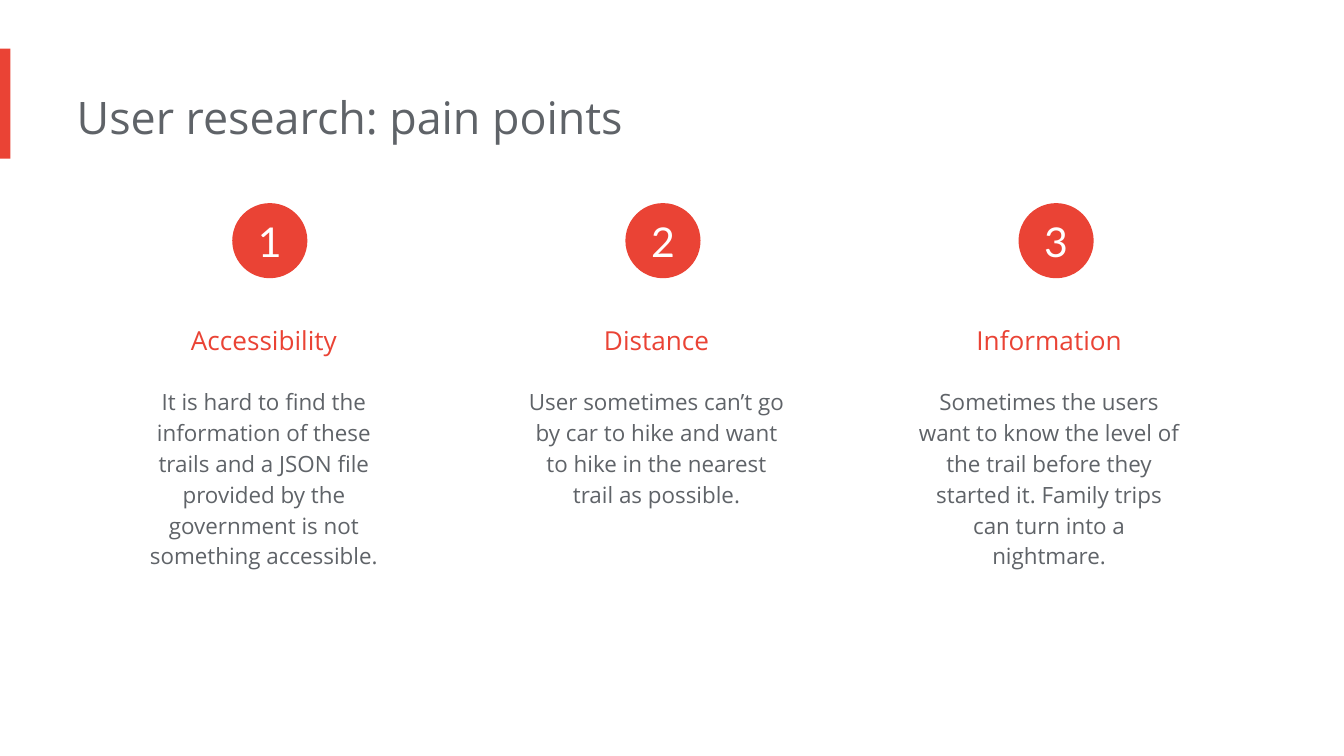
from pptx import Presentation
from pptx.dml.color import RGBColor
from pptx.enum.shapes import MSO_SHAPE as SHAPE
from pptx.enum.text import MSO_ANCHOR as ANCHOR, MSO_AUTO_SIZE as AUTO, PP_ALIGN as ALIGN
from pptx.util import Cm, Pt

RED = RGBColor(0xEA, 0x43, 0x35)
GRAY = RGBColor(0x5F, 0x63, 0x68)
WHITE = RGBColor(0xFF, 0xFF, 0xFF)

# Text formats
TITLE = dict(size=24, font="Open Sans", color=GRAY, align=ALIGN.LEFT, spacing=1.0)
HEADING = dict(size=14, font="Open Sans", color=RED, align=ALIGN.CENTER, spacing=1.5)
BODY = dict(size=12, font="Open Sans", color=GRAY, align=ALIGN.CENTER, spacing=1.15)
NUMBER = dict(size=22, font="Lato", color=WHITE, align=ALIGN.CENTER, spacing=1.0)
BOX_FRAME = dict(word_wrap=True, auto_size=AUTO.SHAPE_TO_FIT_TEXT, margin_left=0,
                 margin_right=Cm(0.25), margin_top=Cm(0.25), margin_bottom=Cm(0.25))
CIRCLE_FRAME = dict(word_wrap=True, vertical_anchor=ANCHOR.MIDDLE, margin_left=0,
                    margin_right=0, margin_top=0, margin_bottom=0)


def add_text(sp, text, fmt, frame):
    tf = sp.text_frame
    for name, value in frame.items():
        setattr(tf, name, value)
    p = tf.paragraphs[0]
    p.alignment, p.line_spacing = fmt["align"], fmt["spacing"]
    r = p.add_run()
    r.text = text
    r.font.size, r.font.name = Pt(fmt["size"]), fmt["font"]
    r.font.color.rgb = fmt["color"]


def add_red_shape(kind, x, y, w, h):
    sp = s.shapes.add_shape(kind, Cm(x), Cm(y), Cm(w), Cm(h))
    sp.shadow.inherit = False
    sp.fill.solid()
    sp.fill.fore_color.rgb = RED
    sp.line.fill.background()
    return sp


prs = Presentation()
prs.slide_width, prs.slide_height = Cm(25.4), Cm(14.29)
s = prs.slides.add_slide(prs.slide_layouts[6])

# Accent bar and title
add_red_shape(SHAPE.RECTANGLE, 0, 0.92, 0.2, 2.08)
sp = s.shapes.add_textbox(Cm(1.45), Cm(1.45), Cm(17.1), Cm(1.52))
add_text(sp, "User research: pain points", TITLE, BOX_FRAME)

# Pain point columns: heading, description and its height
points = [
    ("Accessibility", "It is hard to find the information of these trails and a JSON file "
     "provided by the government is not something accessible.", 4.01),
    ("Distance", "User sometimes can’t go by car to hike and want to hike in the nearest "
     "trail as possible.", 2.84),
    ("Information", "Sometimes the users want to know the level of the trail before they "
     "started it. Family trips can turn into a nightmare.", 4.01),
]
for i, (heading, body, height) in enumerate(points):
    x = 2.51 + 7.42 * i
    for text, fmt, y, h in ((heading, HEADING, 5.59, 1.4), (body, BODY, 7.01, height)):
        sp = s.shapes.add_textbox(Cm(x), Cm(y), Cm(5.21), Cm(h))
        add_text(sp, text, fmt, BOX_FRAME)

# Numbered circles
for i in range(len(points)):
    sp = add_red_shape(SHAPE.OVAL, 4.39 + 7.43 * i, 3.84, 1.42, 1.42)
    add_text(sp, str(i + 1), NUMBER, CIRCLE_FRAME)

prs.save("out.pptx")
